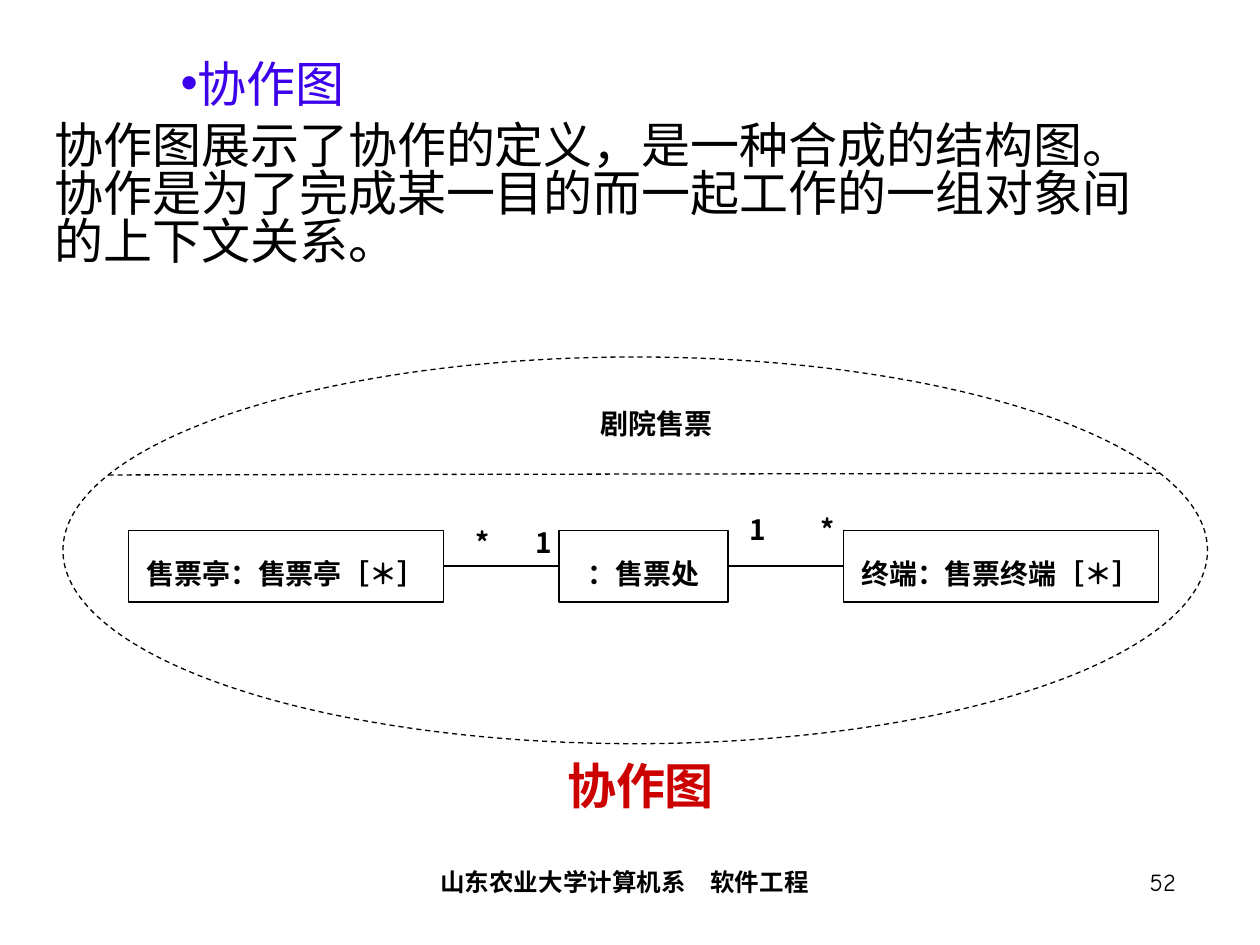
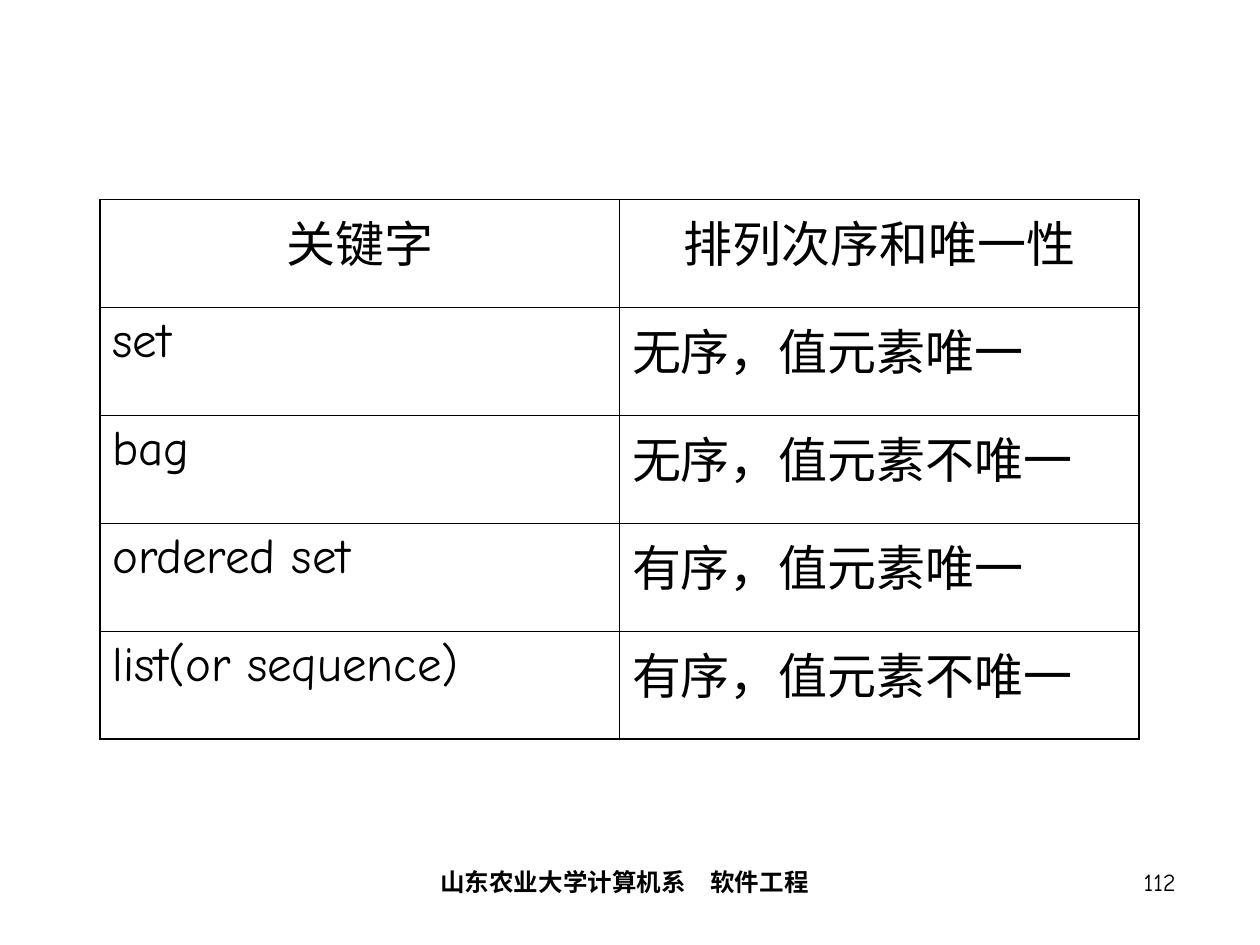
from lxml.etree import SubElement
from pptx import Presentation
from pptx.dml.color import RGBColor
from pptx.enum.dml import MSO_LINE
from pptx.enum.shapes import MSO_CONNECTOR, MSO_SHAPE
from pptx.enum.text import MSO_ANCHOR, MSO_AUTO_SIZE, PP_ALIGN
from pptx.oxml import parse_xml
from pptx.oxml.ns import nsdecls, qn
from pptx.util import Pt

COLORS = {"ink": "000000", "paper": "FFFFFF", "heading": "3D00EA", "caption": "CC0000"}
CJK_FONT = "Noto Sans CJK SC"
LATIN_FONT = "Comic Neue"
FOOTER = "山东农业大学计算机系　软件工程"
BOX_TOP, BOX_HEIGHT = 303, 41
KEYWORDS = [
    ("关键字", "排列次序和唯一性"),
    ("set", "无序，值元素唯一"),
    ("bag", "无序，值元素不唯一"),
    ("ordered set", "有序，值元素唯一"),
    ("list(or sequence)", "有序，值元素不唯一"),
]


def rgb(name):
    return RGBColor.from_string(COLORS[name])


def format_paragraph(paragraph, size, color="ink", bold=False, align=PP_ALIGN.LEFT, font=CJK_FONT):
    paragraph.alignment = align
    for run in paragraph.runs:
        run.font.size = Pt(size)
        run.font.bold = bold
        run.font.color.rgb = rgb(color)
        run.font.name = font
        SubElement(run.font._element, qn("a:ea")).set("typeface", CJK_FONT)


def add_label(slide, text, left, top, width, height, size, anchor=MSO_ANCHOR.MIDDLE, **style):
    shape = slide.shapes.add_textbox(Pt(left), Pt(top), Pt(width), Pt(height))
    frame = shape.text_frame
    frame.word_wrap = True
    frame.vertical_anchor = anchor
    frame.text = text
    format_paragraph(frame.paragraphs[0], size, **style)


def style_line(line, dashed=False):
    line.color.rgb = rgb("ink")
    line.width = Pt(0.75)
    if dashed:
        line.dash_style = MSO_LINE.DASH


def add_box(slide, text, left, top, width, height, outlined=True):
    shape = slide.shapes.add_shape(MSO_SHAPE.RECTANGLE, Pt(left), Pt(top), Pt(width), Pt(height))
    shape.shadow.inherit = False
    shape.fill.solid()
    shape.fill.fore_color.rgb = rgb("paper")
    frame = shape.text_frame
    frame.word_wrap = True
    frame.vertical_anchor = MSO_ANCHOR.MIDDLE
    frame.text = text
    paragraph = frame.paragraphs[0]
    format_paragraph(paragraph, 16, bold=True, align=PP_ALIGN.CENTER)
    if outlined:
        style_line(shape.line)
        paragraph.line_spacing = 1.44
    else:
        shape.line.fill.background()
    return shape


def add_line(slide, start, end, dashed=False):
    connector = slide.shapes.add_connector(
        MSO_CONNECTOR.STRAIGHT, *(Pt(value) for value in (*start, *end)))
    style_line(connector.line, dashed)
    SubElement(connector._element.spPr, qn("a:effectLst"))
    return connector


def join_boxes(slide, left_box, right_box):
    connector = add_line(slide, (0, 0), (0, 0))
    connector.begin_connect(left_box, 3)
    connector.end_connect(right_box, 1)


def add_boundary(slide):
    ellipse = slide.shapes.add_shape(MSO_SHAPE.OVAL, Pt(36), Pt(204), Pt(654), Pt(221))
    ellipse.shadow.inherit = False
    ellipse.fill.background()
    style_line(ellipse.line, dashed=True)
    add_line(slide, (62, 271.4), (663, 270.4), dashed=True)


def fill_body(body, heading, description):
    body.left, body.top, body.width, body.height = Pt(24), Pt(33), Pt(648), Pt(471)
    frame = body.text_frame
    frame.auto_size = MSO_AUTO_SIZE.NONE
    frame.text = f"{heading}\n{description}"
    title, detail = frame.paragraphs
    for paragraph, margin, color in ((title, Pt(72), "heading"), (detail, 0, "ink")):
        properties = paragraph._p.get_or_add_pPr()
        properties.set("marL", str(margin))
        properties.set("indent", "0")
        if paragraph is title:
            bullet_color = SubElement(properties, qn("a:buClr"))
            SubElement(bullet_color, qn("a:srgbClr")).set("val", COLORS[color])
            SubElement(properties, qn("a:buChar")).set("char", "•")
        else:
            SubElement(properties, qn("a:buNone"))
        paragraph.line_spacing = 0.82
        paragraph.space_before = Pt(0 if paragraph is title else 7)
        format_paragraph(paragraph, 28, color)


def set_borders(cell, outer_sides):
    properties = cell._tc.get_or_add_tcPr()
    for index, side in enumerate("LRTB"):
        width = Pt(1.08 if side in outer_sides else 0.45)
        properties.insert(index, parse_xml(
            f'<a:ln{side} {nsdecls("a")} w="{width}"><a:solidFill>'
            f'<a:srgbClr val="{COLORS["ink"]}"/></a:solidFill></a:ln{side}>'))


def add_keyword_table(slide, rows):
    row_count, column_count = len(rows), len(rows[0])
    table = slide.shapes.add_table(
        row_count, column_count, Pt(57), Pt(114), Pt(594), Pt(308.5)).table
    table.first_row = table.horz_banding = False
    for row_index, texts in enumerate(rows):
        for column_index, text in enumerate(texts):
            cell = table.cell(row_index, column_index)
            cell.text = text
            cell.fill.background()
            align = PP_ALIGN.LEFT if row_index else PP_ALIGN.CENTER
            format_paragraph(cell.text_frame.paragraphs[0], 28, align=align, font=LATIN_FONT)
            outer_sides = "R" if column_index else "L"
            if row_index == 0:
                outer_sides += "T"
            if row_index == row_count - 1:
                outer_sides += "B"
            set_borders(cell, outer_sides)


def add_footer(slide, number):
    add_label(slide, FOOTER, 144, 492, 426, 36, 14, MSO_ANCHOR.TOP,
              bold=True, align=PP_ALIGN.CENTER, font=LATIN_FONT)
    add_label(slide, number, 529, 492, 150, 36, 14, MSO_ANCHOR.TOP,
              align=PP_ALIGN.RIGHT, font=LATIN_FONT)


def build_collaboration_slide(presentation):
    slide = presentation.slides.add_slide(presentation.slide_layouts[1])
    title = slide.shapes.title._element
    title.getparent().remove(title)
    fill_body(slide.placeholders[1], "协作图",
              "协作图展示了协作的定义，是一种合成的结构图。"
              "协作是为了完成某一目的而一起工作的一组对象间的上下文关系。")
    add_box(slide, "剧院售票", 318, 221, 114.5, 42, outlined=False)
    kiosk, office, terminal = [
        add_box(slide, text, left, BOX_TOP, width, BOX_HEIGHT)
        for text, left, width in (
            ("售票亭：售票亭［＊］", 73.5, 180),
            ("：售票处", 319.5, 96.5),
            ("终端：售票终端［＊］", 482, 180),
        )
    ]
    join_boxes(slide, kiosk, office)
    join_boxes(slide, office, terminal)
    for text, center, top in (("*", 275.5, 289.5), ("1", 311, 289.5),
                              ("1", 433, 282), ("*", 473, 282)):
        add_label(slide, text, center - 15, top, 30, 41, 16, bold=True, align=PP_ALIGN.CENTER)
    add_boundary(slide)
    add_label(slide, "协作图", 276, 423.5, 180, 50, 28,
              color="caption", bold=True, align=PP_ALIGN.CENTER)
    add_footer(slide, "52")


def build_keyword_slide(presentation):
    slide = presentation.slides.add_slide(presentation.slide_layouts[6])
    add_keyword_table(slide, KEYWORDS)
    add_footer(slide, "112")


def main():
    presentation = Presentation()
    presentation.slide_width, presentation.slide_height = Pt(720), Pt(540)
    build_collaboration_slide(presentation)
    build_keyword_slide(presentation)
    presentation.save("out.pptx")


if __name__ == "__main__":
    main()
